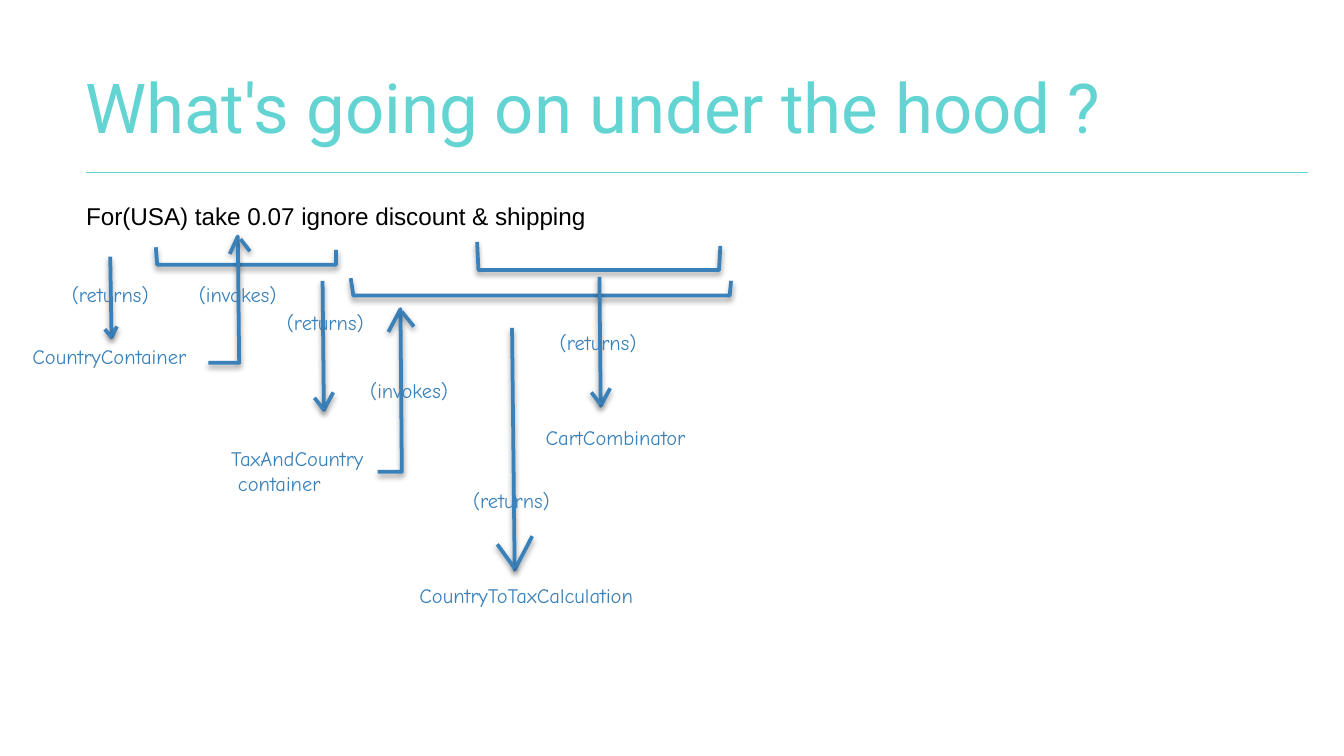
from dataclasses import dataclass

from lxml.etree import SubElement
from pptx import Presentation
from pptx.dml.color import RGBColor
from pptx.enum.shapes import MSO_CONNECTOR as Connector
from pptx.enum.text import MSO_ANCHOR as Anchor, MSO_AUTO_SIZE as AutoSize, PP_ALIGN as Align
from pptx.oxml.ns import qn
from pptx.util import Inches, Pt

TEAL = RGBColor(0x64, 0xD4, 0xD2)
BLUE = RGBColor(0x3A, 0x81, 0xBA)
BLACK = RGBColor(0, 0, 0)

# A 16:9 slide with a square grid: 100 columns across
SLIDE_WIDTH = Inches(10)
SLIDE_HEIGHT = SLIDE_WIDTH * 9 // 16
CELL = SLIDE_WIDTH // 100

Point = tuple[float, float]


@dataclass(frozen=True)
class Arrow:
    """A shaft ending in one barb, and a separate second barb."""
    shaft: list[Point]
    barb: list[Point]


@dataclass(frozen=True)
class Label:
    text: str
    left: float
    top: float
    width: float
    height: float = 2.9


BRACKETS: list[list[Point]] = [
    [(11.6, 18.4), (11.7, 19.7), (25, 19.7), (25, 18.6)],
    [(26.1, 20.7), (26.3, 22), (54.3, 22), (54.4, 20.9)],
    [(35.5, 18), (35.6, 20.1), (53.5, 20.1), (53.6, 18.3)],
]

ARROWS = [
    # Down, to what is returned
    Arrow([(8.2, 19.1), (8.3, 25.1), (8.7, 24.3)], [(8.3, 25.1), (7.8, 24.5)]),
    Arrow([(24, 20.9), (24.1, 30.5), (24.8, 29.2)], [(24.1, 30.5), (23.4, 29.6)]),
    Arrow([(38.1, 24.4), (38.3, 42.4), (39.6, 39.9)], [(38.3, 42.3), (37, 40.5)]),
    Arrow([(44.6, 20.6), (44.7, 30.2), (45.4, 28.9)], [(44.7, 30.1), (44, 29.2)]),
    # Up, to what is invoked
    Arrow([(15.5, 27), (17.8, 27), (17.7, 17.6), (17.1, 18.9)], [(17.9, 17.8), (18.6, 18.7)]),
    Arrow([(28.1, 35.1), (29.9, 35.1), (29.8, 23), (28.9, 24.7)], [(29.9, 23.2), (30.8, 24.3)]),
]

LABELS = [
    Label("CountryContainer", 1.9, 25.1, 13.5),
    Label("TaxAndCountry\ncontainer", 16.7, 32.7, 12.2, 4.7),
    Label("CountryToTaxCalculation", 30.7, 42.85, 19),
    Label("CartCombinator", 40.1, 31.15, 12.4),
    *(Label("(returns)", left, top, 7.6)
      for left, top in [(4.85, 20.5), (20.85, 22.6), (34.7, 35.8), (41.15, 24.05)]),
    *(Label("(invokes)", left, top, 7.4) for left, top in [(14.3, 20.5), (27.05, 27.65)]),
]


def grid(value: float) -> int:
    return round(value * CELL)


def style_stroke(shape, color: RGBColor, width: float, shadow: bool) -> None:
    shape.line.color.rgb = color
    shape.line.width = Pt(width)
    effects = SubElement(shape._element.spPr, qn("a:effectLst"))
    if shadow:
        outer = SubElement(effects, qn("a:outerShdw"), blurRad=str(Pt(3)),
                           dist=str(Pt(1.6)), dir="5400000", rotWithShape="0")
        black = SubElement(outer, qn("a:srgbClr"), val="000000")
        SubElement(black, qn("a:alpha"), val="38000")


def add_polyline(slide, points: list[Point]) -> None:
    start, *rest = [(grid(x), grid(y)) for x, y in points]
    builder = slide.shapes.build_freeform(*start)
    builder.add_line_segments(rest, close=False)
    shape = builder.convert_to_shape()
    shape.fill.background()
    style_stroke(shape, BLUE, 2, shadow=True)


def add_line(slide, points: list[Point], color: RGBColor, width: float, shadow: bool) -> None:
    ends = [grid(value) for point in points for value in point]
    connector = slide.shapes.add_connector(Connector.STRAIGHT, *ends)
    style_stroke(connector, color, width, shadow)


def format_text(frame, font_name: str, size: float, color: RGBColor, inset: float) -> None:
    frame.margin_left = frame.margin_right = grid(inset)
    frame.margin_top = frame.margin_bottom = grid(inset)
    for paragraph in frame.paragraphs:
        paragraph.alignment = Align.LEFT
        for run in paragraph.runs:
            run.font.name = font_name
            run.font.size = Pt(size)
            run.font.color.rgb = color


def add_text(slide, label: Label, font_name: str, size: float, color: RGBColor,
             wrap: bool) -> None:
    box = slide.shapes.add_textbox(*map(grid, (label.left, label.top, label.width, label.height)))
    frame = box.text_frame
    frame.text = label.text
    frame.word_wrap = wrap
    frame.auto_size = AutoSize.SHAPE_TO_FIT_TEXT
    format_text(frame, font_name, size, color, 0.5)
    # Later lines sit slightly to the right
    for paragraph in frame.paragraphs[1:]:
        paragraph._p.get_or_add_pPr().set("marL", str(grid(0.5)))


def main() -> None:
    presentation = Presentation()
    presentation.slide_width, presentation.slide_height = SLIDE_WIDTH, SLIDE_HEIGHT
    slide = presentation.slides.add_slide(presentation.slide_layouts[5])

    # Title and rule
    title = slide.shapes.title
    title.left, title.top, title.width, title.height = map(grid, (5.35, 3.6, 85.6, 8.5))
    title.text_frame.text = "What's going on under the hood ?"
    title.text_frame.auto_size = AutoSize.NONE
    title.text_frame.vertical_anchor = Anchor.MIDDLE
    format_text(title.text_frame, "Roboto", 36.9, TEAL, 1)
    add_line(slide, [(6.4, 12.83), (97.3, 12.83)], TEAL, 0.75, shadow=False)

    # Expression being explained
    expression = Label("For(USA) take 0.07 ignore discount & shipping", 5.9, 14.5, 53.8, 3.2)
    add_text(slide, expression, "Arial", 13, BLACK, wrap=True)

    # Brackets, arrows and their labels
    for bracket in BRACKETS:
        add_polyline(slide, bracket)
    for arrow in ARROWS:
        add_polyline(slide, arrow.shaft)
        add_line(slide, arrow.barb, BLUE, 2, shadow=True)
    for label in LABELS:
        add_text(slide, label, "Comic Neue", 11, BLUE, wrap=False)

    presentation.save("out.pptx")


if __name__ == "__main__":
    main()
